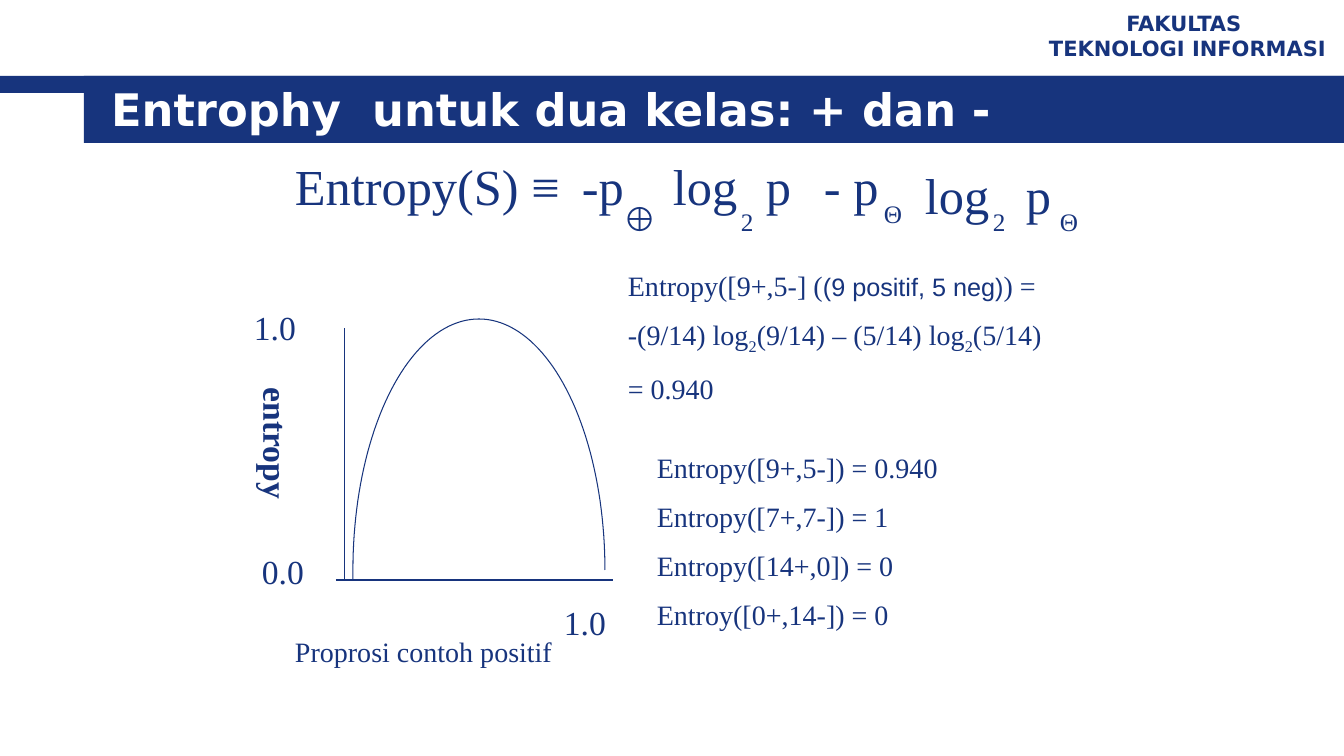
from dataclasses import dataclass
from math import cos, pi, sin

from lxml import etree
from pptx import Presentation
from pptx.dml.color import RGBColor
from pptx.enum.shapes import MSO_CONNECTOR as Connector, MSO_SHAPE as Shape
from pptx.enum.text import MSO_ANCHOR as Anchor, MSO_AUTO_SIZE as AutoSize, PP_ALIGN as Align
from pptx.oxml.ns import qn
from pptx.util import Pt

# Content: every length is in px
TITLE = "Entrophy  untuk dua kelas: + dan -"
TITLE_BOX = (101, 93, 1167, 32)
FACULTY = ["FAKULTAS ", "TEKNOLOGI INFORMASI"]
FACULTY_BOX = (1031, 5, 313, 62)
BARS = [(0, 76, 1344, 17), (84, 76, 1260, 67)]

FORMULA = [  # left, top, width, text, style
    (285, 150, 294, "Entropy(S) ≡", "formula"),
    (572, 150, 101, "-p", "formula"),
    (613, 193, 46, "⊕", "plus"),
    (663, 150, 93, "log", "formula"),
    (731, 201, 50, "2", "index"),
    (756, 150, 101, "p", "formula"),
    (814, 150, 101, "- p", "formula"),
    (874, 193, 40, "Θ", "index"),
    (915, 159, 93, "log", "formula"),
    (983, 201, 58, "2", "index"),
    (1016, 159, 76, "p", "formula"),
    (1050, 201, 40, "Θ", "index"),
]
AXIS_LABELS = [
    (244, 302, 143, "1.0", "tick"),
    (252, 546, 143, "0.0", "tick"),
    (554, 597, 143, "1.0", "tick"),
    (285, 630, 411, "Proprosi contoh positif", "body"),
]
Y_NAME, Y_NAME_BOX = "entropy", (241, 378, 61, 194)
AXES = [(336, 580, 613, 580), (345, 580, 345, 328)]
ARCH = dict(cx=479, base=570, rx=126, ry=251, foot=580, steps=90)

WORKED_BOX = (618, 264, 546, 144)
WORKED = [  # lines of (text, style) runs
    [("Entropy([9+,5-] (", "body"), ("(9 positif, 5 neg)", "aside"), (") =", "body")],
    [("-(9/14) log", "body"), ("2", "sub"), ("(9/14) – (5/14) log", "body"),
     ("2", "sub"), ("(5/14)", "body")],
    [("= 0.940", "body")],
]
CASES_BOX = (647, 446, 529, 195)
CASES = ["Entropy([9+,5-]) = 0.940", "Entropy([7+,7-]) = 1",
         "Entropy([14+,0]) = 0", "Entroy([0+,14-]) = 0"]


# Theme
@dataclass(frozen=True)
class Theme:
    navy = RGBColor(0x17, 0x34, 0x7D)
    white = RGBColor(0xFF, 0xFF, 0xFF)
    serif, sans, head = "Times New Roman", "Arial", "DejaVu Sans"
    line = Pt(0.75)
    gap = Pt(11)

    def font(self, style):
        name, size, bold, color = {
            "title": (self.head, 32, True, self.white),
            "faculty": (self.head, 15, True, self.navy),
            "formula": (self.serif, 36, False, self.navy),
            "plus": (self.serif, 24, False, self.navy),
            "tick": (self.serif, 24, False, self.navy),
            "axis": (self.serif, 24, True, self.navy),
            "index": (self.serif, 18, False, self.navy),
            "body": (self.serif, 20, False, self.navy),
            "sub": (self.serif, 20, False, self.navy),
            "aside": (self.sans, 18, False, self.navy),
        }[style]
        return dict(name=name, size=Pt(size), bold=bold), color


THEME = Theme()
HEIGHTS = {"formula": 71, "plus": 50, "tick": 50, "body": 43, "index": 40}
PX = 914400 / 100.8


def emu(*lengths):
    return [round(v * PX) for v in lengths]


# Helpers
def write(tf, lines, align=Align.LEFT, gap=0, anchor=Anchor.TOP):
    for key, value in dict(word_wrap=True, auto_size=AutoSize.NONE,
                           vertical_anchor=anchor).items():
        setattr(tf, key, value)
    for i, line in enumerate(lines):
        p = tf.add_paragraph() if i else tf.paragraphs[0]
        p.alignment = align
        if i and gap:
            p.space_before = gap
        for text, style in line:
            r = p.add_run()
            r.text = text
            font, color = THEME.font(style)
            for key, value in font.items():
                setattr(r.font, key, value)
            r.font.color.rgb = color
            if style == "sub":
                r.font._element.set("baseline", "-25000")


def add_text(s, box, lines, **layout):
    sp = s.shapes.add_textbox(*emu(*box))
    write(sp.text_frame, lines, **layout)
    return sp


def outline(shape):
    shape.line.color.rgb = THEME.navy
    shape.line.width = THEME.line


def add_arch(s, cx, base, rx, ry, foot, steps):
    angles = [pi * i / steps for i in range(steps + 1)]
    points = [emu(cx + rx * cos(a), base - ry * sin(a)) for a in angles]
    points.append(emu(cx - rx, foot))
    builder = s.shapes.build_freeform(*points[0], scale=1.0)
    builder.add_line_segments(points[1:], close=False)
    sp = builder.convert_to_shape()
    sp.shadow.inherit = False
    sp.fill.background()
    outline(sp)


def main():
    prs = Presentation()
    prs.slide_width, prs.slide_height = emu(1344, 756)
    s = prs.slides.add_slide(prs.slide_layouts[5])

    # Header band, faculty name and title
    for bar in BARS:
        sp = s.shapes.add_shape(Shape.RECTANGLE, *emu(*bar))
        sp.shadow.inherit = False
        sp.fill.solid()
        sp.fill.fore_color.rgb = THEME.navy
        sp.line.fill.background()
    add_text(s, FACULTY_BOX, [[(t, "faculty")] for t in FACULTY],
             align=Align.CENTER, anchor=Anchor.MIDDLE)
    title = s.shapes.title
    title.left, title.top, title.width, title.height = emu(*TITLE_BOX)
    write(title.text_frame, [[(TITLE, "title")]], anchor=Anchor.MIDDLE)
    title.element.getparent().append(title.element)  # in front of the band

    # Entropy curve
    for axis in AXES:
        line = s.shapes.add_connector(Connector.STRAIGHT, *emu(*axis))
        outline(line)
        etree.SubElement(line.element.spPr, qn("a:effectLst"))
    add_arch(s, **ARCH)
    name = add_text(s, Y_NAME_BOX, [[(Y_NAME, "axis")]])
    name.text_frame._txBody.bodyPr.set("vert", "eaVert")

    # Formula and axis labels
    for x, y, w, text, style in FORMULA + AXIS_LABELS:
        add_text(s, (x, y, w, HEIGHTS[style]), [[(text, style)]])

    # Worked example and cases
    add_text(s, WORKED_BOX, WORKED, gap=THEME.gap)
    add_text(s, CASES_BOX, [[(t, "body")] for t in CASES], gap=THEME.gap)

    prs.save("out.pptx")


if __name__ == "__main__":
    main()
